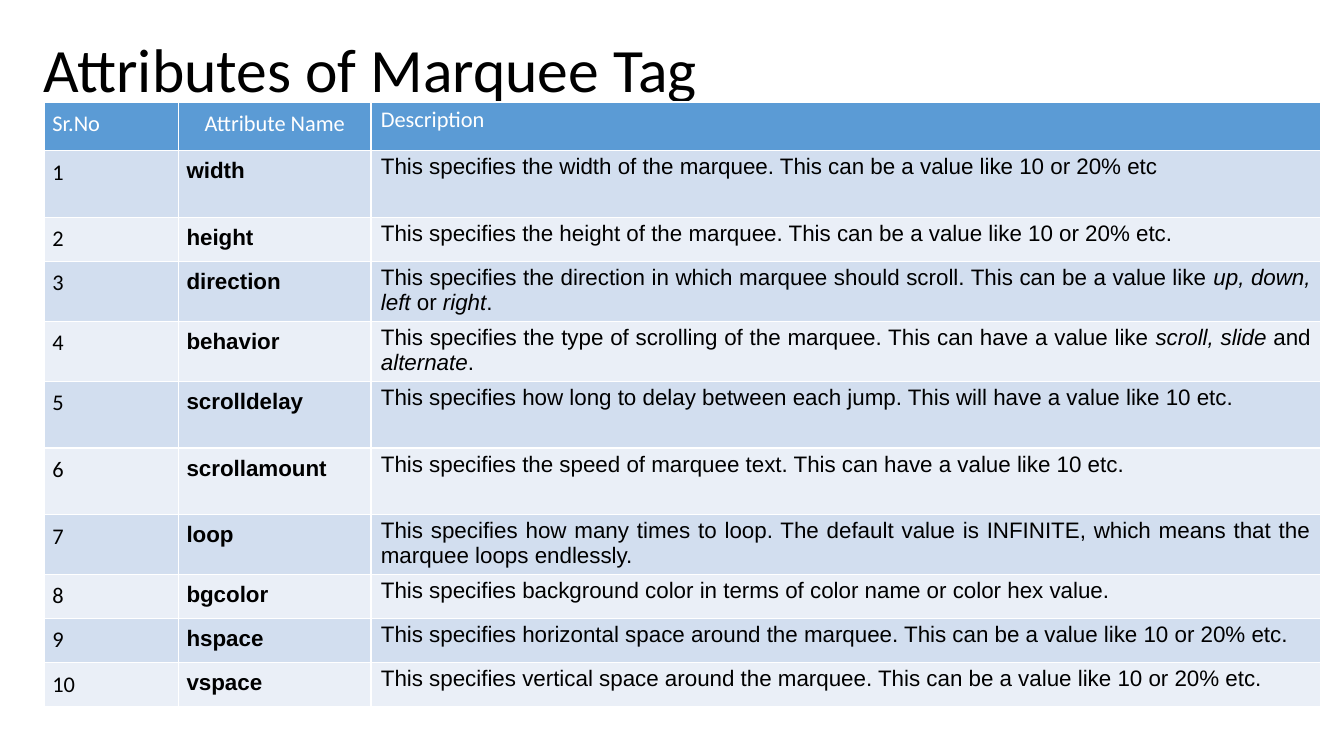
from pptx import Presentation
from pptx.dml.color import RGBColor
from pptx.enum import text as t
from pptx.util import Cm, Pt

# Content: asterisks enclose italic words
TITLE = "Attributes of Marquee Tag"
HEADER = ("Sr.No", "Attribute Name", "Description")
ATTRIBUTES = [  # name, description, row kind
    ("width", "This specifies the width of the marquee. This can be a value like 10 or 20% etc", "tall"),
    ("height", "This specifies the height of the marquee. This can be a value like 10 or 20% etc.", "single"),
    ("direction", "This specifies the direction in which marquee should scroll. "
     "This can be a value like *up, down, left* or *right*.", "double"),
    ("behavior", "This specifies the type of scrolling of the marquee. "
     "This can have a value like *scroll, slide* and *alternate*.", "double"),
    ("scrolldelay", "This specifies how long to delay between each jump. "
     "This will have a value like 10 etc.", "tall"),
    ("scrollamount", "This specifies the speed of marquee text. This can have a value like 10 etc.", "tall"),
    ("loop", "This specifies how many times to loop. The default value is INFINITE, "
     "which means that the marquee loops endlessly.", "double"),
    ("bgcolor", "This specifies background color in terms of color name or color hex value.", "single"),
    ("hspace", "This specifies horizontal space around the marquee. "
     "This can be a value like 10 or 20% etc.", "single"),
    ("vspace", "This specifies vertical space around the marquee. "
     "This can be a value like 10 or 20% etc.", "single"),
]

COLORS = {"header": "5B9BD5", "odd": "D2DEEF", "even": "EAEFF7",
          "white": "FFFFFF", "black": "000000"}
COLUMN_WIDTHS = (3.38, 4.85, 23.93)
ROW_HEIGHTS = {"header": 1.23, "single": 1.11, "double": 1.51, "tall": 1.68}
LEFT, CENTER, JUSTIFY = t.PP_ALIGN.LEFT, t.PP_ALIGN.CENTER, t.PP_ALIGN.JUSTIFY


def write_text(frame, content, font="Calibri", size=16, color="black",
               bold=False, align=LEFT, line_spacing=None):
    paragraph = frame.paragraphs[0]
    paragraph.alignment = align
    if line_spacing:
        paragraph.line_spacing = line_spacing
    for index, part in enumerate(content.split("*")):
        run = paragraph.add_run()
        run.text = part
        run.font.name, run.font.size = font, Pt(size)
        run.font.bold, run.font.italic = bold, index % 2 == 1
        run.font.color.rgb = RGBColor.from_string(COLORS[color])


def fill_cell(cell, content, fill, margins, **text_format):
    side, top = margins
    cell.margin_left = cell.margin_right = Cm(side)
    cell.margin_top = cell.margin_bottom = Cm(top)
    cell.fill.solid()
    cell.fill.fore_color.rgb = RGBColor.from_string(COLORS[fill])
    write_text(cell.text_frame, content, **text_format)


presentation = Presentation()
presentation.slide_width, presentation.slide_height = Cm(33.87), Cm(19.05)
slide = presentation.slides.add_slide(presentation.slide_layouts[5])

# Title
title = slide.shapes.title
title.left, title.top, title.width, title.height = Cm(0.84), Cm(0.43), Cm(29.21), Cm(2.82)
title.text_frame.vertical_anchor = t.MSO_ANCHOR.MIDDLE
title.text_frame.auto_size = t.MSO_AUTO_SIZE.NONE
write_text(title.text_frame, TITLE, size=44, line_spacing=0.9)

# Table grid
kinds = ["header"] + [kind for _, _, kind in ATTRIBUTES]
heights = [ROW_HEIGHTS[kind] for kind in kinds]
table = slide.shapes.add_table(len(heights), len(COLUMN_WIDTHS), Cm(1.12), Cm(2.57),
                               Cm(sum(COLUMN_WIDTHS)), Cm(sum(heights))).table
for column, width in zip(table.columns, COLUMN_WIDTHS):
    column.width = Cm(width)
for row, height in zip(table.rows, heights):
    row.height = Cm(height)

# Header and attribute rows
MARGINS = ((0.2, 0.2), (0.2, 0.2), (0.25, 0.1))
for column, (label, align) in enumerate(zip(HEADER, (LEFT, CENTER, LEFT))):
    fill_cell(table.cell(0, column), label, "header", MARGINS[column],
              color="white", align=align)
for number, (name, description, kind) in enumerate(ATTRIBUTES, start=1):
    fill = "odd" if number % 2 else "even"
    formats = (
        (str(number), {}),
        (name, {"font": "Arial", "bold": True, "align": JUSTIFY}),
        (description, {"font": "Arial", "align": LEFT if kind == "tall" else JUSTIFY}),
    )
    for column, (content, text_format) in enumerate(formats):
        fill_cell(table.cell(number, column), content, fill, MARGINS[column], **text_format)

presentation.save("out.pptx")
